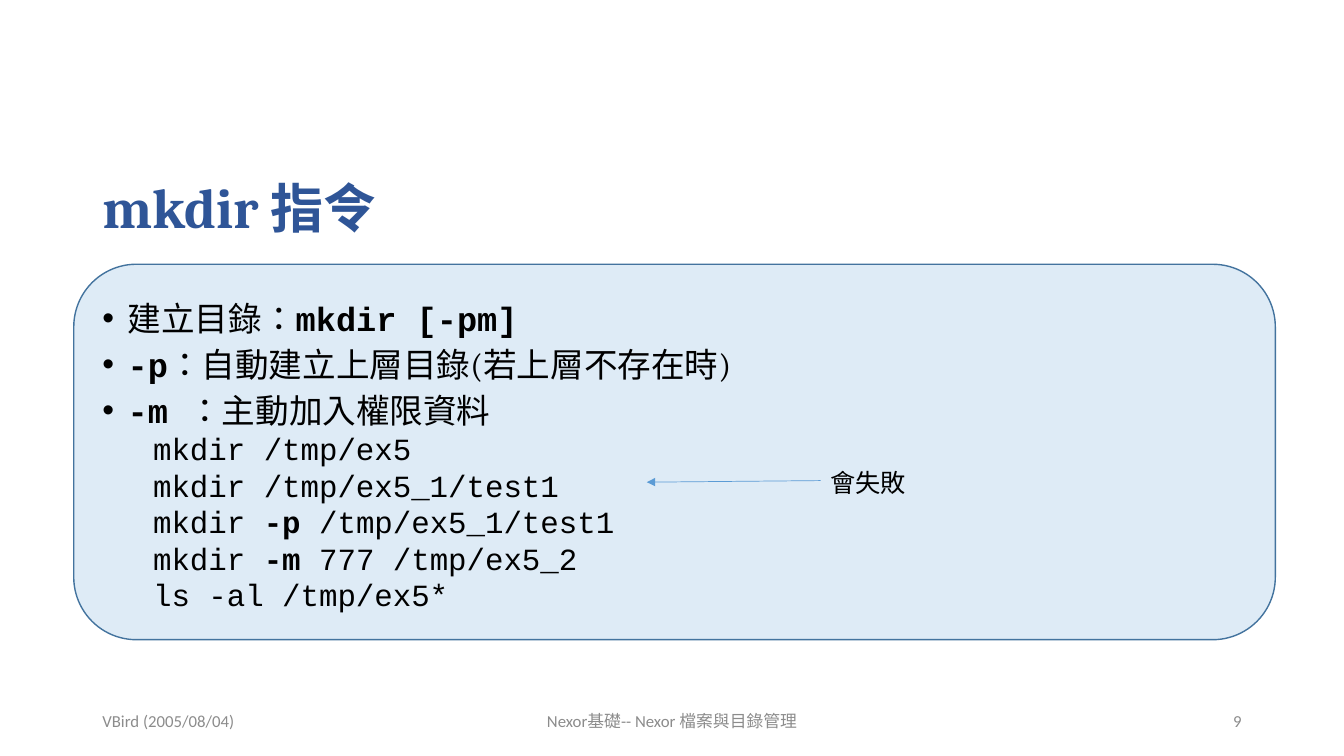
from lxml.etree import SubElement
from pptx import Presentation
from pptx.dml.color import RGBColor
from pptx.enum.shapes import MSO_CONNECTOR, MSO_SHAPE
from pptx.enum.text import MSO_ANCHOR, MSO_AUTO_SIZE, PP_ALIGN
from pptx.oxml.ns import qn
from pptx.util import Cm, Pt

BLUE = "5B9BD5"
INDENT = Cm(0.64)

FOOTER = {"name": "Calibri", "size": Pt(12), "color": "8C8C8C"}
NOTE = {"name": "Calibri", "size": Pt(18), "color": "000000"}
TITLE = {"name": "Cambria", "size": Pt(40), "bold": True, "color": "2F5597"}
POINT = {"name": "Cambria", "size": Pt(24), "color": "000000"}
OPTION = {**POINT, "name": "Courier New", "bold": True}
CODE = {**POINT, "name": "Courier New", "size": Pt(22)}
CODE_BOLD = {**CODE, "bold": True}

POINTS = [
    [("建立目錄：", POINT), ("mkdir [-pm]", OPTION)],
    [("-p", OPTION), ("：自動建立上層目錄(若上層不存在時)", POINT)],
    [("-m ", OPTION), ("：主動加入權限資料", POINT)],
]
COMMANDS = [
    [("mkdir /tmp/ex5", CODE)],
    [("mkdir /tmp/ex5_1/test1", CODE)],
    [("mkdir ", CODE), ("-p", CODE_BOLD), (" /tmp/ex5_1/test1", CODE)],
    [("mkdir ", CODE), ("-m", CODE_BOLD), (" 777 /tmp/ex5_2", CODE)],
    [("ls -al /tmp/ex5*", CODE)],
]


def rgb(color):
    return RGBColor.from_string(color)


def set_attributes(target, values):
    for name, value in values.items():
        setattr(target, name, value)


def add_runs(paragraph, runs):
    """Fill a paragraph from (text, font values) pairs."""
    for text, values in runs:
        run = paragraph.add_run()
        run.text = text
        set_attributes(run.font, {k: v for k, v in values.items() if k != "color"})
        run.font.color.rgb = rgb(values["color"])
        run._r.get_or_add_rPr().set("lang", "zh-TW")


def add_text(slide, box, runs, align=PP_ALIGN.LEFT, spacing=None, **frame_values):
    """Add a one-paragraph text box."""
    frame = slide.shapes.add_textbox(*map(Cm, box)).text_frame
    set_attributes(frame, {"word_wrap": True, **frame_values})
    paragraph = frame.paragraphs[0]
    set_attributes(paragraph, {"alignment": align, "line_spacing": spacing})
    add_runs(paragraph, runs)


def add_panel(slide, box):
    panel = slide.shapes.add_shape(MSO_SHAPE.ROUNDED_RECTANGLE, *map(Cm, box))
    panel.shadow.inherit = False
    panel.fill.solid()
    panel.fill.fore_color.rgb = rgb(BLUE)
    color = panel.fill._xPr.find(qn("a:solidFill"))[0]
    SubElement(color, qn("a:alpha"), val="20000")
    panel.line.color.rgb = rgb("43739E")
    panel.line.width = Pt(1)


def indent(paragraph, left, first_line):
    """Set the indents and return the paragraph properties element."""
    properties = paragraph._p.get_or_add_pPr()
    properties.set("marL", str(left))
    properties.set("indent", str(first_line))
    return properties


def add_body(slide, box):
    frame = slide.shapes.add_textbox(*map(Cm, box)).text_frame
    frame.word_wrap = True
    for number, runs in enumerate(POINTS + COMMANDS):
        is_point = number < len(POINTS)
        paragraph = frame.add_paragraph() if number else frame.paragraphs[0]
        set_attributes(paragraph, {
            "level": 0 if is_point else 1,
            "line_spacing": 0.8,
            "space_before": Pt(10 if is_point else 5),
        })
        if is_point:
            properties = indent(paragraph, INDENT, -INDENT)
            SubElement(properties, qn("a:buFont"), typeface="Arial")
            SubElement(properties, qn("a:buChar"), char="•")
        else:
            indent(paragraph, 2 * INDENT, 0)
        add_runs(paragraph, runs)


def add_arrow(slide, start, end):
    arrow = slide.shapes.add_connector(
        MSO_CONNECTOR.STRAIGHT, *map(Cm, start + end))
    arrow.line.color.rgb = rgb(BLUE)
    arrow.line.width = Pt(0.5)
    SubElement(arrow.line._get_or_add_ln(), qn("a:tailEnd"), type="triangle")
    SubElement(arrow._element.spPr, qn("a:effectLst"))


def add_footers(slide):
    footers = [
        (2.33, 7.62, "VBird (2005/08/04)", PP_ALIGN.LEFT),
        (11.22, 11.43, "Nexor基礎-- Nexor 檔案與目錄管理", PP_ALIGN.CENTER),
        (23.92, 7.62, "9", PP_ALIGN.RIGHT),
    ]
    for left, width, text, align in footers:
        add_text(slide, (left, 17.65, width, 1.01), [(text, FOOTER)], align,
                 vertical_anchor=MSO_ANCHOR.MIDDLE)


def main():
    presentation = Presentation()
    presentation.slide_width = Cm(33.87)
    presentation.slide_height = Cm(19.05)
    slide = presentation.slides.add_slide(presentation.slide_layouts[6])

    add_panel(slide, (1.86, 6.66, 30.28, 9.46))
    add_footers(slide)
    add_text(slide, (2.33, 3.45, 29.21, 3.68),
             [("mkdir", TITLE), (" 指令", {**TITLE, "size": Pt(38)})],
             spacing=0.9, vertical_anchor=MSO_ANCHOR.MIDDLE)
    add_body(slide, (2.33, 7.57, 29.21, 9.6))
    add_arrow(slide, (20.68, 12.11), (16.3, 12.15))
    add_text(slide, (20.68, 11.64, 2.44, 1.02), [("會失敗", NOTE)],
             word_wrap=False, auto_size=MSO_AUTO_SIZE.SHAPE_TO_FIT_TEXT)

    presentation.save("out.pptx")


if __name__ == "__main__":
    main()
